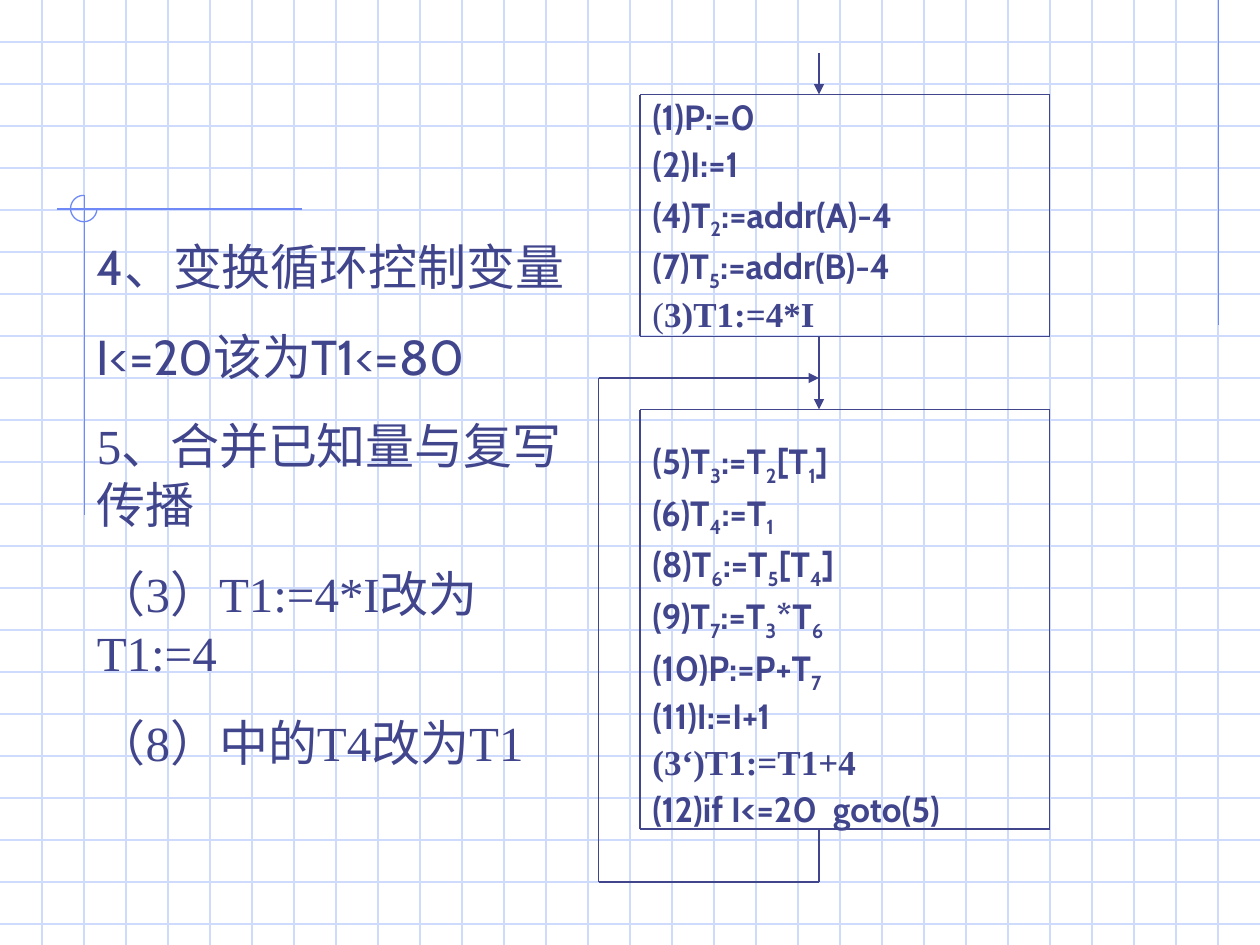
from dataclasses import dataclass
from itertools import pairwise

from lxml import etree
from pptx import Presentation
from pptx.dml.color import RGBColor
from pptx.enum.shapes import MSO_CONNECTOR, MSO_SHAPE
from pptx.oxml.ns import qn
from pptx.util import Inches, Pt

STRAIGHT = MSO_CONNECTOR.STRAIGHT
ARC = MSO_SHAPE.ARC


@dataclass(frozen=True)
class Theme:
    ink: RGBColor = RGBColor(0x40, 0x45, 0x8C)
    accent: RGBColor = RGBColor(0x6F, 0x89, 0xF7)
    grid: RGBColor = RGBColor(0xCF, 0xDB, 0xFD)
    sans: str = "Cabin"
    serif: str = "Times New Roman"
    code_size: int = 20
    note_size: int = 28
    stroke: float = 0.75


class SlideBuilder:
    def __init__(self, page, theme):
        self.page = page
        self.theme = theme

    def route(self, points, color, arrow=False):
        legs = list(pairwise(points))
        for index, (start, end) in enumerate(legs):
            line = self.page.shapes.add_connector(
                STRAIGHT, *map(Inches, start), *map(Inches, end))
            line.line.color.rgb = color
            line.line.width = Pt(self.theme.stroke)
            etree.SubElement(line._element.spPr, qn("a:effectLst"))
            if arrow and index == len(legs) - 1:
                etree.SubElement(line.line._get_or_add_ln(), qn("a:tailEnd"), type="triangle")

    def frame(self, left, top, right, bottom):
        corners = [(left, top), (right, top), (right, bottom), (left, bottom), (left, top)]
        self.route(corners, self.theme.ink)

    def grid(self, width, height, per_inch):
        for row in range(1, int(height * per_inch) + 1):
            self.route([(0, row / per_inch), (width, row / per_inch)], self.theme.grid)
        for column in range(1, width * per_inch):
            self.route([(column / per_inch, 0), (column / per_inch, height)], self.theme.grid)

    def open_circle(self, left, top, size):
        circle = self.page.shapes.add_shape(
            ARC, Inches(left), Inches(top), Inches(size), Inches(size))
        circle.adjustments[0] = 0
        circle.adjustments[1] = 162
        circle.shadow.inherit = False
        circle.fill.background()
        circle.line.color.rgb = self.theme.accent
        circle.line.width = Pt(self.theme.stroke)

    def text_box(self, left, top, width, height):
        box = self.page.shapes.add_textbox(
            Inches(left), Inches(top), Inches(width), Inches(height))
        box.text_frame.word_wrap = True
        return box.text_frame

    def paragraph(self, frame, index):
        return frame.paragraphs[0] if index == 0 else frame.add_paragraph()

    def style(self, span, font, size, bold=False):
        span.font.name = font
        span.font.size = Pt(size)
        span.font.bold = bold
        span.font.color.rgb = self.theme.ink

    def code(self, bounds, lines, gaps):
        frame = self.text_box(*bounds)
        for index, (font, text) in enumerate(lines):
            para = self.paragraph(frame, index)
            para.line_spacing = 0.9
            para.space_before = Pt(gaps.get(index, 5))
            props = para._p.get_or_add_pPr()
            props.set("marL", str(Inches(0.38)))
            props.set("indent", str(-Inches(0.38)))
            head, *tails = text.split("_")
            pieces = [(head, False)]
            for tail in tails:
                pieces += [(tail[0], True), (tail[1:], False)]
            for piece, lowered in pieces:
                if piece:
                    span = para.add_run()
                    span.text = piece
                    self.style(span, font, self.theme.code_size, bold=True)
                    if lowered:
                        span._r.get_or_add_rPr().set("baseline", "-25000")
        return frame

    def notes(self, bounds, lines):
        frame = self.text_box(*bounds)
        for index, (font, text) in enumerate(lines):
            para = self.paragraph(frame, index)
            para.text = text
            para.space_before = Pt(17.5)
            self.style(para.runs[0], font, self.theme.note_size)


def main():
    """Build the loop optimisation slide."""
    theme = Theme()
    deck = Presentation()
    deck.slide_width, deck.slide_height = Inches(10), Inches(7.5)
    slide = SlideBuilder(deck.slides.add_slide(deck.slide_layouts[6]), theme)

    slide.grid(10, 7.5, 3)
    for ends in ([(9.67, 0), (9.67, 2.58)],
                 [(2.4, 1.66), (0.45, 1.66)],
                 [(0.67, 1.55), (0.67, 4.09)]):
        slide.route(ends, theme.accent)
    slide.open_circle(0.56, 1.55, 0.21)

    setup = [
        (theme.sans, "(1)P:=0"),
        (theme.sans, "(2)I:=1"),
        (theme.sans, "(4)T_2:=addr(A)-4"),
        (theme.sans, "(7)T_5:=addr(B)-4"),
        (theme.serif, "(3)T1:=4*I"),
    ]
    loop = [
        (theme.sans, "(5)T_3:=T_2[T_1]"),
        (theme.sans, "(6)T_4:=T_1"),
        (theme.sans, "(8)T_6:=T_5[T_4]"),
        (theme.sans, "(9)T_7:=T_3*T_6"),
        (theme.sans, "(10)P:=P+T_7"),
        (theme.sans, "(11)I:=I+1"),
        (theme.serif, "(3‘)T1:=T1+4"),
        (theme.sans, "(12)if I<=20  goto(5)"),
    ]
    code = slide.code((5.08, 0.75, 4.17, 5.92), setup + loop, {len(setup): 60})
    moved = code.paragraphs[len(setup) - 1]
    moved.runs[0].text = "("
    slide.style(moved.runs[0], theme.serif, theme.code_size)
    rest = moved.add_run()
    rest.text = "3)T1:=4*I"
    slide.style(rest, theme.serif, theme.code_size, bold=True)

    slide.frame(5.08, 0.75, 8.33, 2.67)
    slide.frame(5.08, 3.25, 8.33, 6.58)
    slide.route([(6.5, 0.42), (6.5, 0.75)], theme.ink, arrow=True)
    slide.route([(6.5, 2.67), (6.5, 3.25)], theme.ink, arrow=True)
    back_edge = [(6.5, 6.58), (6.5, 7), (4.75, 7), (4.75, 3), (6.5, 3)]
    slide.route(back_edge, theme.ink, arrow=True)

    slide.notes((0.67, 1.83, 4.08, 5.05), [
        (theme.sans, "4、变换循环控制变量"),
        (theme.sans, "I<=20该为T1<=80"),
        (theme.serif, "5、合并已知量与复写传播"),
        (theme.serif, "（3）T1:=4*I改为T1:=4"),
        (theme.serif, "（8）中的T4改为T1"),
    ])
    deck.save("out.pptx")


if __name__ == "__main__":
    main()
